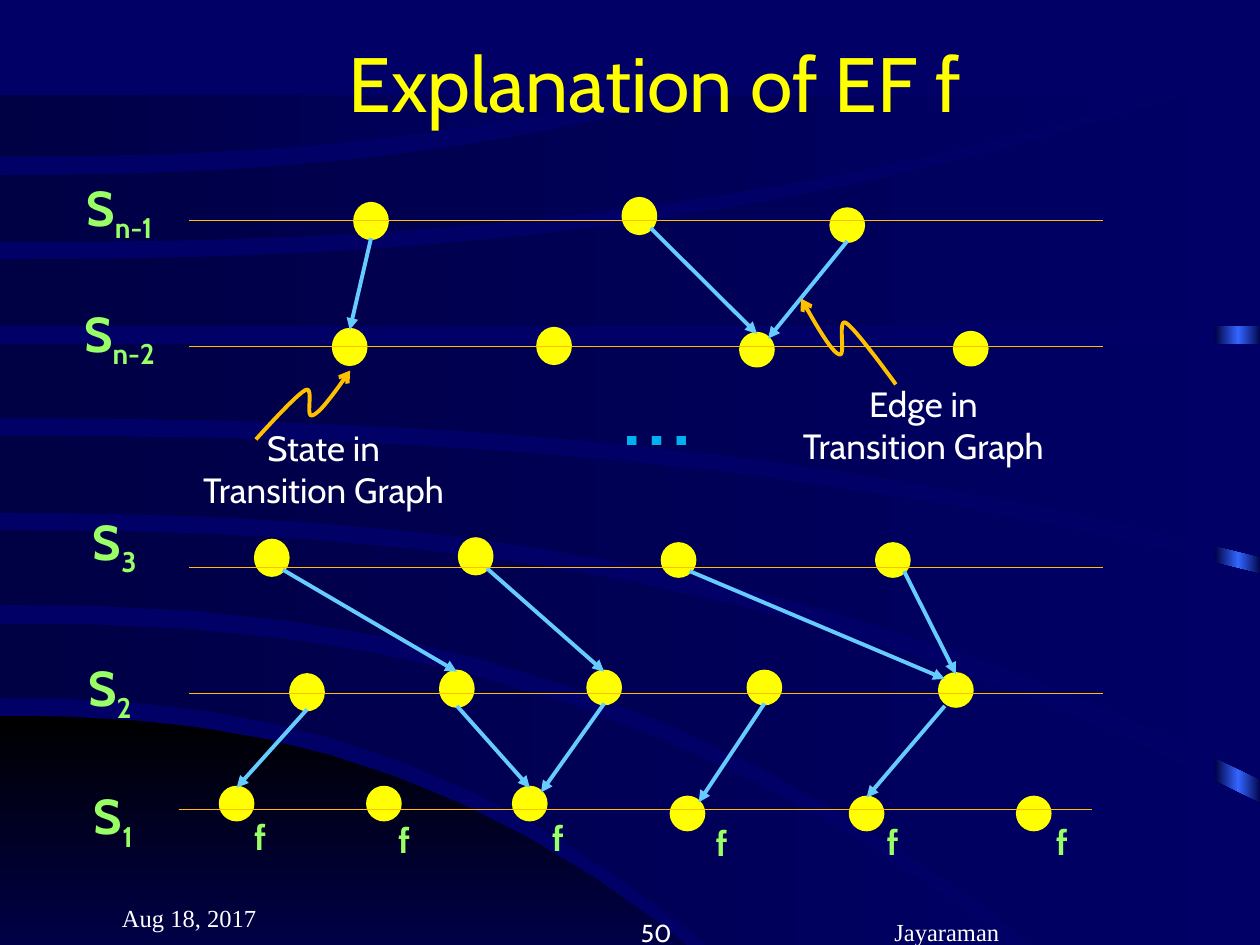
from copy import deepcopy

from lxml.etree import SubElement
from pptx import Presentation
from pptx.dml.color import RGBColor
from pptx.enum.shapes import MSO_CONNECTOR, MSO_SHAPE
from pptx.enum.text import MSO_ANCHOR, PP_ALIGN
from pptx.oxml.ns import qn
from pptx.util import Cm, Pt

COLORS = {
    "navy": "000066", "dark": "000044", "black": "000000", "blue": "3366FF",
    "yellow": "FFFF00", "gold": "FFC000", "sky": "66CCFF", "cyan": "00B0F0",
    "green": "99FF66", "white": "FFFFFF",
}
RGB = {key: RGBColor.from_string(value) for key, value in COLORS.items()}
FONTS = {
    "title": {"name": "Cabin", "size": Pt(44)},
    "footer": {"name": "Times New Roman", "size": Pt(14)},
    "number": {"name": "Cabin", "size": Pt(14)},
    "dots": {"name": "Cabin", "size": Pt(60)},
    "state": {"name": "Cabin", "size": Pt(28), "bold": True},
    "f": {"name": "Cabin", "size": Pt(20), "bold": True},
    "note": {"name": "Cabin", "size": Pt(20)},
}

prs = Presentation()
prs.slide_width, prs.slide_height = Cm(25.4), Cm(19.05)
slide = prs.slides.add_slide(prs.slide_layouts[6])
shapes = slide.shapes
slide.background.fill.solid()
slide.background.fill.fore_color.rgb = RGB["navy"]


def add_text(box, lines, style, color, align=PP_ALIGN.CENTER,
             anchor=MSO_ANCHOR.TOP, wrap=True):
    """Each line is a text with an optional subscript after '_'."""
    frame = shapes.add_textbox(*map(Cm, box)).text_frame
    frame.word_wrap, frame.vertical_anchor = wrap, anchor
    for i, line in enumerate(lines):
        paragraph = frame.add_paragraph() if i else frame.paragraphs[0]
        paragraph.alignment = align
        for level, part in enumerate(line.split("_")):
            run = paragraph.add_run()
            run.text = part
            for key, value in FONTS[style].items():
                setattr(run.font, key, value)
            run.font.color.rgb = RGB[color]
            if level:
                run._r.get_or_add_rPr().set("baseline", "-25000")


def add_outline(points, close):
    points = [(Cm(x), Cm(y)) for x, y in points]
    builder = shapes.build_freeform(*points[0])
    builder.add_line_segments(points[1:], close=close)
    outline = builder.convert_to_shape()
    outline.shadow.inherit = False
    return outline


# Background: glowing strip on the right edge
strip = shapes.add_shape(MSO_SHAPE.RECTANGLE, Cm(24.49), Cm(1.96), Cm(0.94), Cm(19.05))
strip.shadow.inherit = False
strip.line.fill.background()
strip.fill.gradient()
strip.fill.gradient_angle = 0
stop_list = strip._element.spPr.find(qn("a:gradFill")).find(qn("a:gsLst"))
middle = deepcopy(stop_list[0])
middle.set("pos", "50000")
stop_list.insert(1, middle)
for stop, color in zip(strip.fill.gradient_stops, ("dark", "blue", "dark")):
    stop.color.rgb = RGB[color]

# Background: bands between two sweeps, each given by its height at the left
# edge and its end point; the black corner comes first
right, bottom, top_edge = 25.43, 20.96, 1.91
bands = [
    ((14.43, 15.98, bottom), (bottom, 15.98, bottom)),
    ((12.57, 22.71, bottom), (14.07, 16.33, bottom)),
    ((10.69, right, 16.21), (12.19, 23.11, bottom)),
    ((8.79, right, 11.58), (10.34, right, 15.72)),
    ((6.93, right, 6.93), (8.43, right, 11.23)),
    ((5.23, right, 1.4), (6.58, right, 6.58)),
    ((3.53, 14.15, top_edge), (4.88, 23.32, top_edge)),
    ((top_edge, 12.75, top_edge), (3.15, 12.75, top_edge)),
]
bend, steps = 2.4, 12
for i, band_edges in enumerate(bands):
    upper, lower = [
        [(end_x * n / steps, start_y + (end_y - start_y) * (n / steps) ** bend)
         for n in range(steps + 1)]
        for start_y, end_x, end_y in band_edges
    ]
    corner = (upper[-1][0], lower[-1][1])
    band = add_outline(upper + [corner] + lower[::-1], close=True)
    band.line.fill.background()
    band.fill.gradient()
    band.fill.gradient_angle = 0 if i else 270
    for stop, color in zip(band.fill.gradient_stops, ("dark" if i else "black", "navy")):
        stop.color.rgb = RGB[color]

# Title and footer
add_text((2.41, 0.05, 21.59, 3.18), ["Explanation of EF f"], "title", "yellow",
         anchor=MSO_ANCHOR.MIDDLE)
for box, text, style, align in [
    ((2.21, 17.65, 5.28, 1.27), "Aug 18, 2017", "footer", PP_ALIGN.LEFT),
    ((17.78, 17.93, 8.05, 1.27), "Jayaraman", "footer", PP_ALIGN.LEFT),
    ((8.51, 17.96, 5.28, 1.27), "50", "number", PP_ALIGN.RIGHT),
]:
    add_text(box, [text], style, "white", align, MSO_ANCHOR.BOTTOM)

# States: left and top of each dot; the first two above S1 are a bit taller
states = {
    "S1": [(4.45, 15.88), (7.42, 15.88), (10.36, 15.88),
           (13.54, 16.08), (17.15, 16.08), (20.52, 16.08)],
    "S2": [(5.87, 13.61), (8.89, 13.54), (11.86, 13.54), (15.09, 13.54), (18.95, 13.59)],
    "S3": [(5.16, 10.9), (9.27, 10.87), (13.36, 10.97), (17.68, 10.97)],
    "Sn-2": [(6.73, 6.65), (10.85, 6.63), (14.94, 6.73), (19.25, 6.71)],
    "Sn-1": [(7.16, 4.11), (12.57, 4.01), (16.76, 4.22)],
}
dots = {}
for row, places in states.items():
    for i, (left, top) in enumerate(places):
        height = 0.69 if row != "S1" and i < 2 else 0.64
        dot = shapes.add_shape(MSO_SHAPE.OVAL, Cm(left), Cm(top), Cm(0.64), Cm(height))
        dot.shadow.inherit = False
        dot.fill.solid()
        dot.fill.fore_color.rgb = dot.line.color.rgb = RGB["yellow"]
        dot.line.width = Pt(2.25)
        dots[row, i] = dot

# Labels
add_text((10.11, 6.73, 6.25, 2.82), ["…"], "dots", "cyan")
for left, top in [(4.85, 16.31), (7.75, 16.38), (10.85, 16.33),
                  (14.15, 16.43), (17.6, 16.41), (21.01, 16.41)]:
    add_text((left, top, 0.79, 1.12), ["f"], "f", "green", wrap=False)
for left, top, width, label in [
    (1.3, 13.13, 1.83, "S_2"), (1.37, 15.72, 1.83, "S_1"), (1.4, 10.19, 1.83, "S_3"),
    (1.14, 5.99, 2.54, "S_n-2"), (1.14, 3.45, 2.54, "S_n-1"),
]:
    add_text((left, top, width, 1.45), [label], "state", "green")
for left, top, first in [(3.59, 8.48, "State in"), (15.68, 7.59, "Edge in")]:
    add_text((left, top, 5.87, 1.96), [first, "Transition Graph"], "note", "white", wrap=False)

# Transitions run between points on the rims of two dots
rim = {"top": (0.5, 0), "bottom": (0.5, 1), "upper left": (0.15, 0.15),
       "upper right": (0.85, 0.15), "lower left": (0.15, 1), "lower right": (0.85, 0.85)}
transitions = [
    ("S2", 0, "bottom", "S1", 0, "top"),
    ("S2", 4, "lower left", "S1", 4, "top"),
    ("S2", 1, "bottom", "S1", 2, "top"),
    ("S2", 2, "bottom", "S1", 2, "upper right"),
    ("S2", 3, "bottom", "S1", 3, "upper right"),
    ("S3", 0, "lower right", "S2", 1, "top"),
    ("S3", 2, "lower right", "S2", 4, "upper left"),
    ("S3", 3, "lower right", "S2", 4, "top"),
    ("S3", 1, "lower right", "S2", 2, "top"),
    ("Sn-1", 0, "bottom", "Sn-2", 0, "top"),
    ("Sn-1", 1, "lower right", "Sn-2", 2, "top"),
    ("Sn-1", 2, "bottom", "Sn-2", 2, "upper right"),
]
links = []
for transition in transitions:
    ends = []
    for row, i, side in (transition[:3], transition[3:]):
        dot, (across, down) = dots[row, i], rim[side]
        ends += [int(dot.left + across * dot.width), int(dot.top + down * dot.height)]
    links.append((ends, "sky", 2.25))

# Level lines lie over the dots
for left, y in [(3.6, 16.31), (3.81, 13.97), (3.81, 11.43), (3.81, 6.99), (3.81, 4.45)]:
    links.append(([Cm(left), Cm(y), Cm(left + 18.42), Cm(y)], "gold", 0.5))
for ends, color, width in links:
    link = shapes.add_connector(MSO_CONNECTOR.STRAIGHT, *ends)
    link.line.color.rgb = RGB[color]
    link.line.width = Pt(width)
    if color == "sky":
        SubElement(link.line._get_or_add_ln(), qn("a:tailEnd"), type="triangle")
    SubElement(link._element.spPr, qn("a:effectLst"))

# Curved pointers from the notes: one chain of cubic curves, arrow at the start
wave = [(0, 0), (0.16, 0.31), (0.32, 0.62), (0.4, 0.65), (0.48, 0.7),
        (0.38, 0.23), (0.47, 0.28), (0.57, 0.34), (1, 1), (1, 1)]
curve = [wave[0]]
for k in range(0, len(wave) - 1, 3):
    for t in (n / steps for n in range(1, steps + 1)):
        weights = ((1 - t) ** 3, 3 * t * (1 - t) ** 2, 3 * t * t * (1 - t), t ** 3)
        curve.append([sum(w * point[axis] for w, point in zip(weights, wave[k:k + 4]))
                      for axis in (0, 1)])
for tip_x, tip_y, width, height in [(7.06, 7.47, -1.9, 1.39), (16.15, 6.02, 1.91, 1.73)]:
    pointer = add_outline([(tip_x + width * x, tip_y + height * y) for x, y in curve], close=False)
    pointer.fill.background()
    pointer.line.color.rgb = RGB["gold"]
    pointer.line.width = Pt(2.25)
    SubElement(pointer.line._get_or_add_ln(), qn("a:headEnd"), type="arrow")

prs.save("out.pptx")
